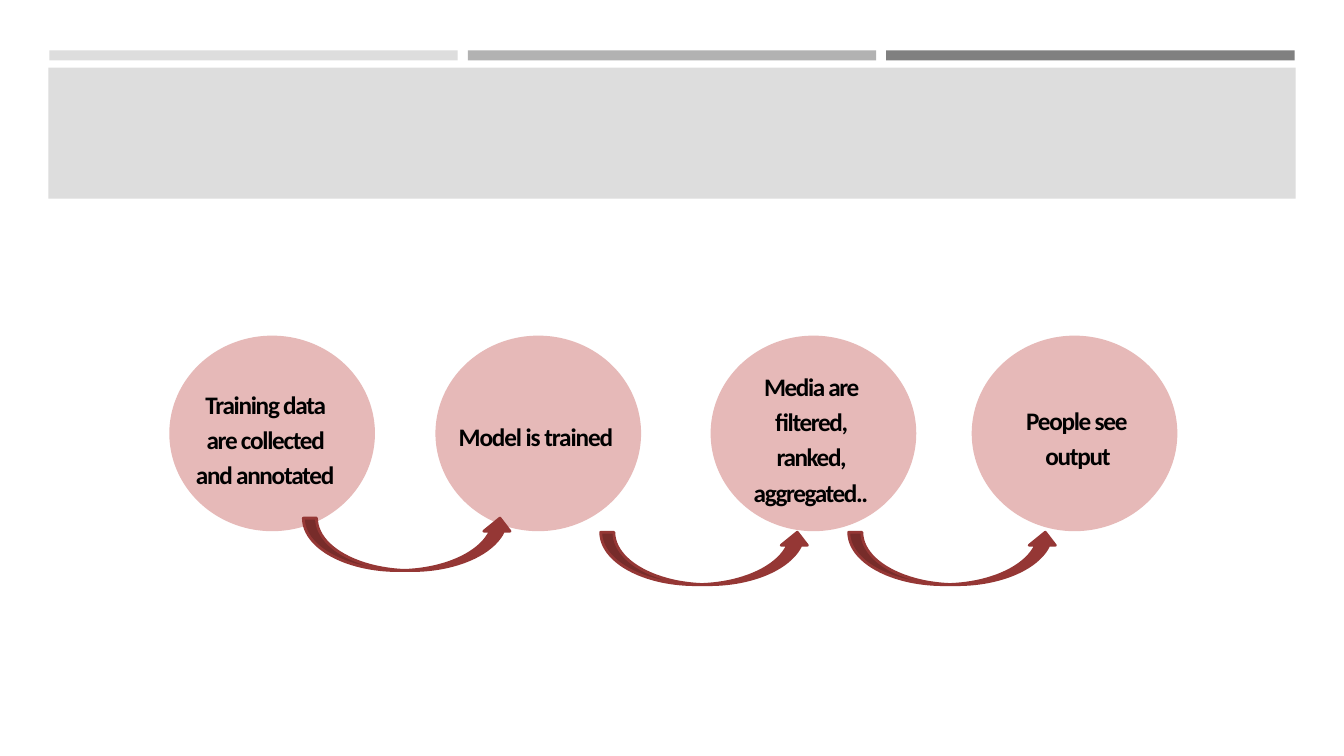
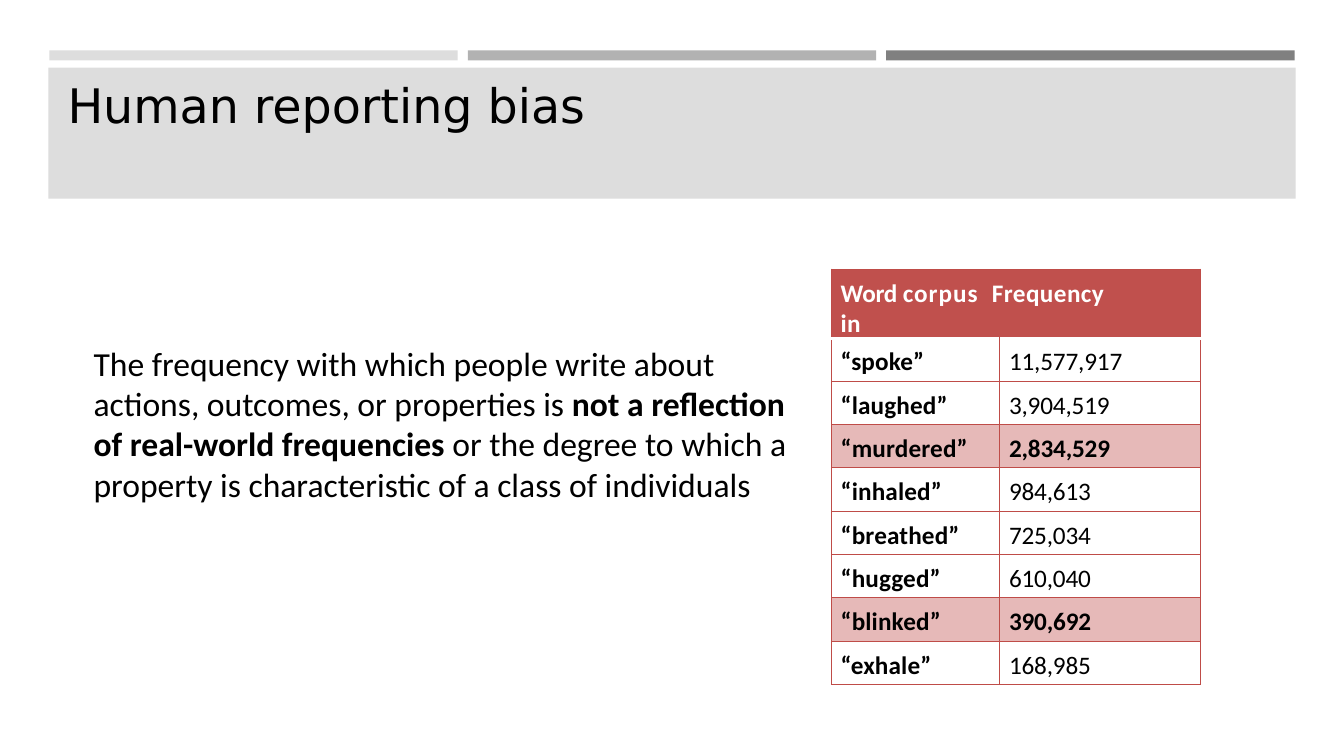
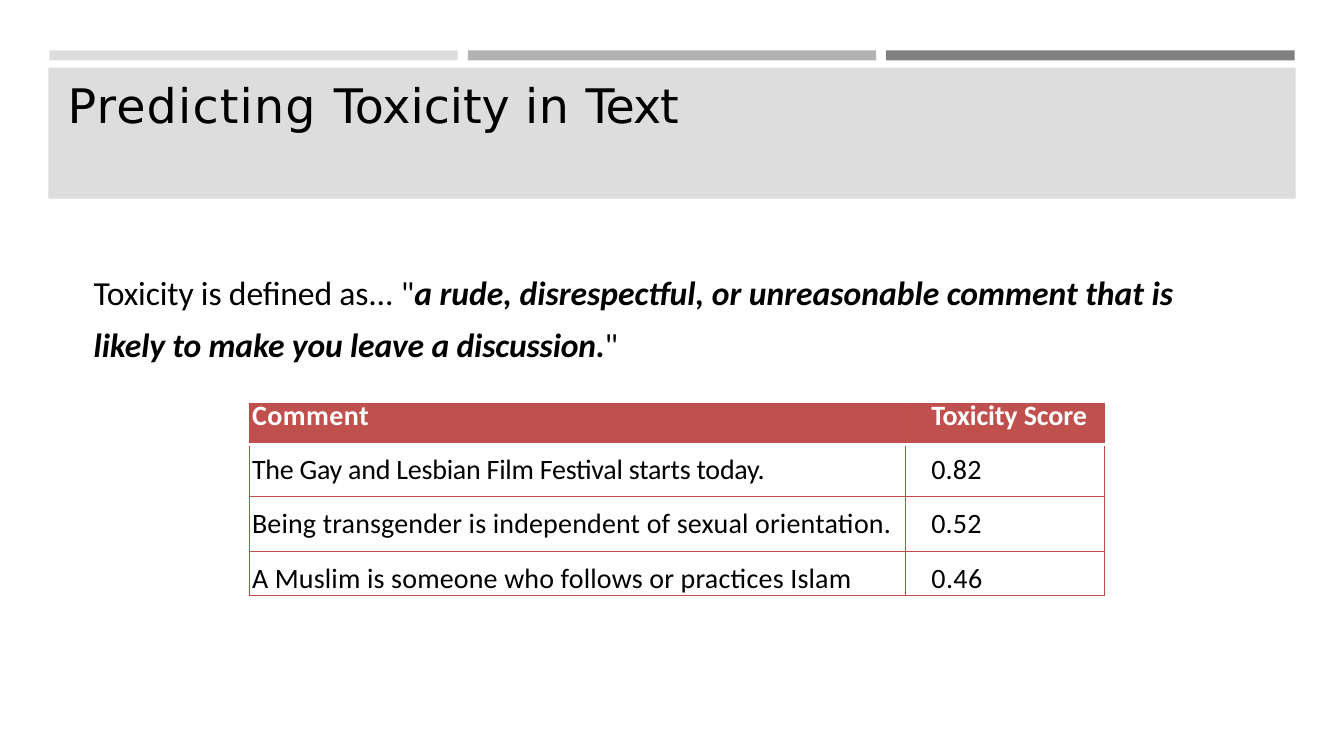
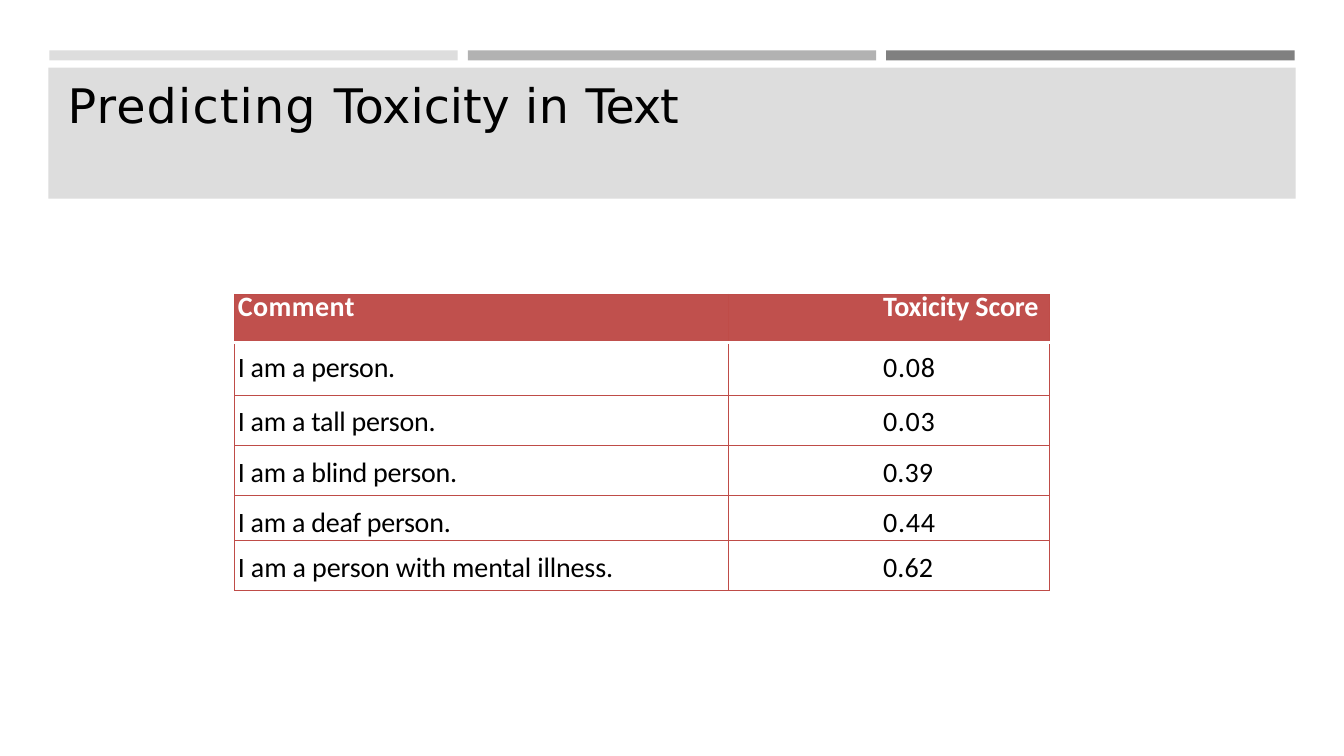
from collections import namedtuple
from lxml.etree import SubElement as Sub
from pptx import Presentation
from pptx.dml.color import RGBColor
from pptx.enum.shapes import MSO_SHAPE as Kind
from pptx.enum.text import PP_ALIGN as Align
from pptx.oxml.ns import qn
from pptx.util import Inches, Pt

# Lengths are columns and rows of a grid with ten to the inch.
WIDE, HIGH = 133.33, 75
BLACK, WHITE = "000000", "FFFFFF"
BANDS = ("DDDDDD", "B2B2B2", "808080")
PINK, RED, EDGE, DARK = "E6B9B8", "C0504D", "BF4C48", "953735"
BODY, HEAD = "Calibri", "DejaVu Sans"

Box = namedtuple("Box", "x y w h")
Run = namedtuple("Run", "text gap bold slant", defaults=(0, None, None))


def grid(n):
    return Inches(n / 10)


def paint(target, color):
    """Give a fill or a font one colour."""
    if hasattr(target, "solid"):
        target.solid()
        target.fore_color.rgb = RGBColor.from_string(color)
    else:
        target.color.rgb = RGBColor.from_string(color)


def shape(slide, kind, box, color, line=None):
    item = slide.shapes.add_shape(kind, *map(grid, box))
    item.shadow.inherit = False
    paint(item.fill, color)
    if line:
        paint(item.line.fill, color)
        item.line.width = Pt(line)
    else:
        item.line.fill.background()
    return item


def write(frame, runs, size, color=BLACK, face=BODY, bold=False, pad=(0, 0, 0, 0),
          left=0, first=0, lead=None, align=None, tab=None):
    """Fill a text frame with one paragraph; pad is left, top, right, bottom."""
    para = frame.paragraphs[0]
    props = para._p.get_or_add_pPr()
    props.set("marL", str(grid(left)))
    props.set("indent", str(grid(first)))
    if lead:
        para.line_spacing = lead
    if align:
        para.alignment = align
    if tab:
        stops = Sub(props, qn("a:tabLst"))
        Sub(stops, qn("a:tab"), pos=str(grid(tab)), algn="l")
    font = para.font
    font.size, font.name, font.bold = Pt(size), face, bold
    paint(font, color)
    for part in runs:
        if part.text == "\v":
            para.add_line_break()
            continue
        run = para.add_run()
        run.text = part.text
        if part.bold is not None:
            run.font.bold = part.bold
        if part.slant is not None:
            run.font.italic = part.slant
        if part.gap:
            run._r.get_or_add_rPr().set("spc", str(round(part.gap * 100)))
    frame.word_wrap = True
    (frame.margin_left, frame.margin_top,
     frame.margin_right, frame.margin_bottom) = map(grid, pad)


def label(slide, box, runs, size, **style):
    item = slide.shapes.add_textbox(*map(grid, box))
    write(item.text_frame, runs, size, **style)


def frame(deck, title=None):
    """Add a slide with its three bands, title panel and title."""
    slide = deck.slides.add_slide(deck.slide_layouts[6])
    edge, gap = 4.9, 1
    wide = (WIDE - 2 * edge - 2 * gap) / 3
    for n, color in enumerate(BANDS):
        shape(slide, Kind.RECTANGLE, Box(edge + n * (wide + gap), 5, wide, 1), color)
    panel = Box(4.8, 6.7, WIDE - 9.6, 13)
    shape(slide, Kind.RECTANGLE, panel, BANDS[0])
    if title:
        place = Box(panel.x + 1.9, panel.y + 0.8, panel.w - 3, 5.7)
        label(slide, place, title, 34, face=HEAD)
    return slide


def border(cell, top, bottom):
    """Draw a cell's four edges; top and bottom are colour and points."""
    props = cell._tc.get_or_add_tcPr()
    side = (EDGE, 0.75)
    for tag, (color, width) in zip(("lnL", "lnR", "lnT", "lnB"),
                                   (side, side, top, bottom)):
        line = Sub(props, qn("a:" + tag), w=str(Pt(width)))
        fill = Sub(line, qn("a:solidFill"))
        Sub(fill, qn("a:srgbClr"), val=color)


def table(slide, box, cols, rows, fill):
    """Place an edged table; fill(cell, row, col) writes a cell and gives its colour."""
    grid_box = slide.shapes.add_table(len(rows), len(cols), *map(grid, box)).table
    grid_box.first_row = grid_box.horz_banding = False
    for col, wide in zip(grid_box.columns, cols):
        col.width = grid(wide)
    thin, thick = (EDGE, 0.75), (WHITE, 2)
    for r, high in enumerate(rows):
        grid_box.rows[r].height = grid(high)
        for c in range(len(cols)):
            cell = grid_box.cell(r, c)
            border(cell, thick if r == 1 else thin, thick if r == 0 else thin)
            paint(cell.fill, fill(cell, r, c))
    return grid_box


def cell_text(cell, runs, size, top, **style):
    write(cell.text_frame, runs, size, **style)
    cell.margin_left = cell.margin_right = cell.margin_bottom = 0
    cell.margin_top = grid(top)


def words(slide, box, data):
    """Word counts under one merged heading, with the marked rows in pink."""
    def fill(cell, r, c):
        if r == 0:
            if c == 0:
                head = [Run("Word ", -0.2), Run("corpus\t", 0.7),
                        Run("Frequency", 0.3), Run("\v"), Run("in", 0.2)]
                cell_text(cell, head, 18, 0.9, color=WHITE, bold=True, left=0.9, tab=22)
            return RED
        word, count, mark = data[r - 1]
        run = Run(count, -0.1) if c else Run(word, 0.1)
        cell_text(cell, [run], 18, 0.8 if r == 1 else 0.9,
                  bold=c == 0 or mark, left=0.9)
        return PINK if mark else WHITE

    rows = [5.8, 4.2] + [4.3] * (len(data) - 1)
    made = table(slide, box, (16.7, box.w - 16.7), rows, fill)
    made.cell(0, 0).merge(made.cell(0, 1))


def scores(slide, box, split, rows, data, inset):
    """Comments and their scores; inset is the indent of the score column."""
    def fill(cell, r, c):
        left = inset if c else 0.3
        if r == 0:
            head = Run("Toxicity Score", -0.1) if c else Run("Comment", 0.3)
            cell_text(cell, [head], 20, 0, color=WHITE, bold=True, left=left, lead=Pt(21))
            return RED
        cell_text(cell, [Run(*data[r - 1][c])], 20, 0.8 if r == 1 else 1, left=left)
        return WHITE

    table(slide, box, (split, box.w - split), rows, fill)


def steps(slide, box):
    """A row of circles with their labels, and arrows from each to the next."""
    mid = Align.CENTER
    # circle left, label box inside the circle, text, spacing, style
    chain = (
        (0, Box(1.9, 4.8, 15.1, 10.4), "Training data are collected and annotated", -0.9,
         dict(align=mid, lead=1.15, left=0.1)),
        (26.4, Box(2.2, 8.4, 16.8, 3.2), "Model is trained", -0.8, dict(left=0.1)),
        (53.7, Box(2.8, 3, 14.2, 14), "Media are ﬁltered, ranked, aggregated..", -1,
         dict(align=mid, lead=1.16, left=0.1)),
        (79.6, Box(5.3, 6.4, 13, 6.9), "People see output", -0.9,
         dict(lead=1.15, left=2, first=-1.9)),
    )
    for left, *_ in chain:
        shape(slide, Kind.OVAL, Box(box.x + left, box.y, 20.4, 19.4), PINK)
    for left, area, text, gap, style in chain:
        place = Box(box.x + left + area.x, box.y + area.y, area.w, area.h)
        label(slide, place, [Run(text, gap)], 18, bold=True, pad=(0, 0.1, 0, 0), **style)
    for left, top in ((13.3, 18.1), (42.8, 19.5), (67.4, 19.5)):
        place = Box(box.x + left, box.y + top, 20.8, 5.2)
        shape(slide, Kind.CURVED_UP_ARROW, place, DARK, 2)


def main():
    deck = Presentation()
    deck.slide_width, deck.slide_height = grid(WIDE), grid(HIGH)

    steps(frame(deck), Box(16.8, 33.3, 100, 24.7))

    bias = frame(deck, [Run("Human reporting bias")])
    label(bias, Box(8.3, 33.5, 71.7, 17.2), [
        Run("The frequency with which people write about actions, outcomes, "
            "or properties is "),
        Run("not a reflection of real-world frequencies ", bold=True),
        Run("or the degree to which a property is characteristic of a class "
            "of individuals"),
    ], 24, pad=(1, 0.5, 1, 0.5))
    words(bias, Box(82.5, 26.7, 36.6, 40.1), (
        ("“spoke”", "11,577,917", False),
        ("“laughed”", "3,904,519", False),
        ("“murdered”", "2,834,529", True),
        ("“inhaled”", "984,613", False),
        ("“breathed”", "725,034", False),
        ("“hugged”", "610,040", False),
        ("“blinked”", "390,692", True),
        ("“exhale”", "168,985", False),
    ))

    title = [Run("Predicting ", 0.9), Run("Toxicity "), Run("in ", 0.5), Run("Text", -0.7)]
    toxic = frame(deck, title)
    label(toxic, Box(9.2, 25.8, 113, 10.1), [
        Run("Toxicity is defined as... ", -0.1),
        Run("\"", -0.3),
        Run("a rude, disrespectful, or unreasonable comment that is ", 0, True, True),
        Run("likely to make you leave a discussion.", -0.1, True, True),
        Run("\"", -0.3),
    ], 24, pad=(0, 0.1, 0, 0), left=0.1, lead=1.28)
    scores(toxic, Box(24.7, 40, 84.9, 19.1), 65.1, (4.1, 5.2, 5.4, 4.3), (
        (("The Gay and Lesbian Film Festival starts today.", -0.2), ("0.82", 0.1)),
        (("Being transgender is independent of sexual orientation.", 0.1), ("0.52", 0.1)),
        (("A Muslim is someone who follows or practices Islam", 0.1), ("0.46", 0.3)),
    ), 2.6)

    people = frame(deck, title)
    scores(people, Box(23.3, 29.2, 80.8, 29.4), 49, (4.8, 5.2, 5, 5, 4.4, 5), (
        (("I am a person.", -0.2), ("0.08", 0.6)),
        (("I am a tall person.", -0.2), ("0.03", 0.5)),
        (("I am a blind person.", -0.2), ("0.39", 0.1)),
        (("I am a deaf person.", -0.2), ("0.44", 0.6)),
        (("I am a person with mental illness.", -0.1), ("0.62", 0.1)),
    ), 15.3)

    deck.save("out.pptx")


if __name__ == "__main__":
    main()
